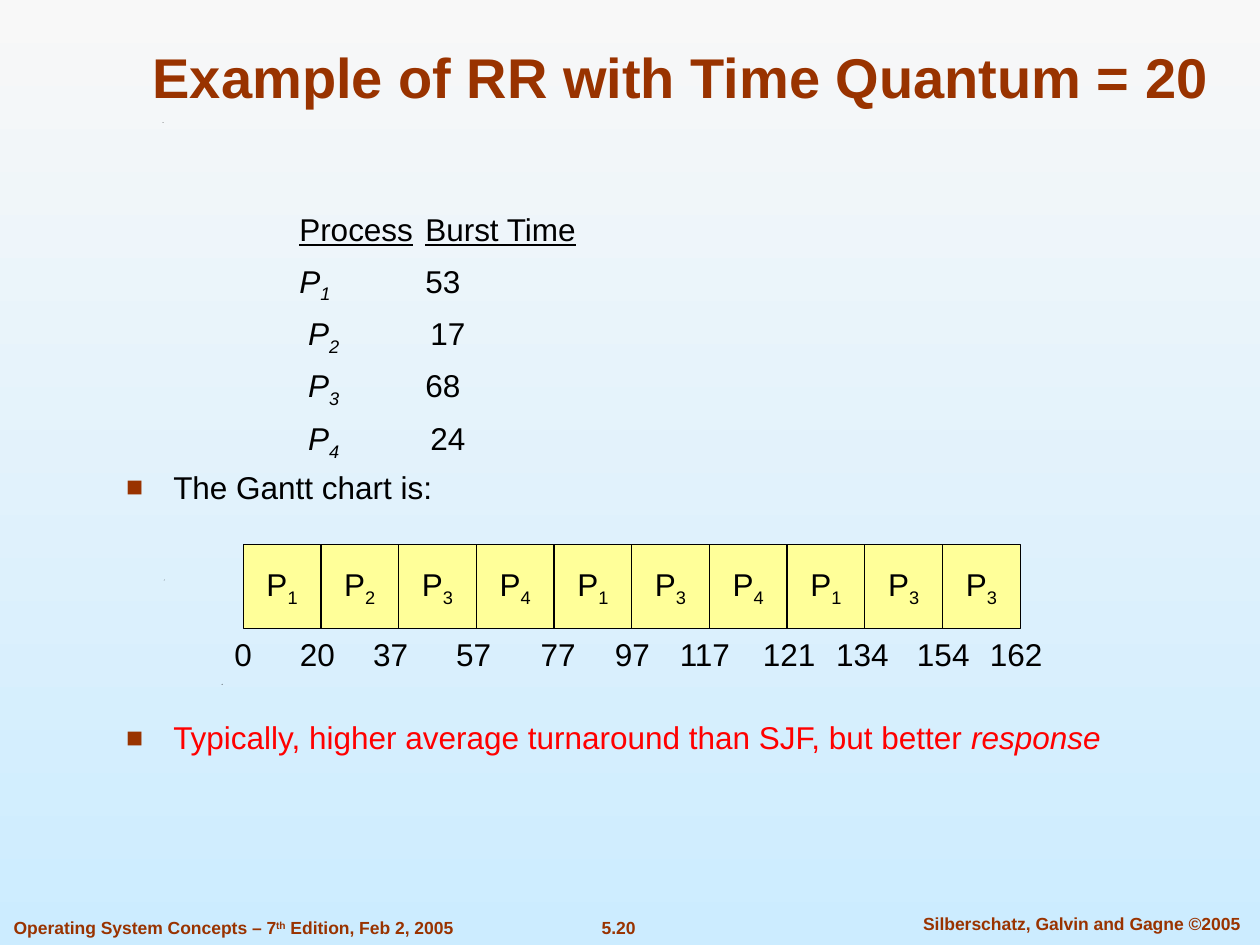
import lxml.etree
import pptx
import pptx.dml.color
import pptx.enum.shapes
import pptx.enum.text
import pptx.oxml.ns
import pptx.util

Pt = pptx.util.Pt
RGBColor = pptx.dml.color.RGBColor
ALIGN = pptx.enum.text.PP_ALIGN
ANCHOR = pptx.enum.text.MSO_ANCHOR
NO_FIT = pptx.enum.text.MSO_AUTO_SIZE.NONE

BROWN = RGBColor(0x99, 0x33, 0x00)
BLACK = RGBColor(0, 0, 0)
RED = RGBColor(0xFF, 0, 0)
YELLOW = RGBColor(0xFF, 0xFF, 0x99)
PALE_GREY = RGBColor(0xF8, 0xF8, 0xF8)
PALE_BLUE = RGBColor(0xCC, 0xEC, 0xFF)

BODY_FONT = {"name": "Arial", "size": Pt(18), "bold": False}
TITLE_FONT = {"name": "Arial", "size": Pt(32), "bold": True}
FOOTER_FONT = {"name": "Arial", "size": Pt(10), "bold": True}
FRAME = {
    "margin_left": Pt(7.2), "margin_right": Pt(7.2),
    "margin_top": Pt(3.6), "margin_bottom": Pt(3.6), "auto_size": NO_FIT,
}

SUBSCRIPT, SUPERSCRIPT = -25, 30
HANGING = 27
CELL_LEFT, CELL_TOP, CELL_WIDTH, CELL_HEIGHT = 139, 311, 44.4, 48
SCHEDULE = "1234134133"
TIMES = [
    ("0", 139), ("20", 181.4), ("37", 223.2), ("57", 270.7), ("77", 319),
    ("97", 361.4), ("117", 402.8), ("121", 451), ("134", 492.8),
    ("154", 539), ("162", 580.7),
]
BURSTS = [("", "1", "", "53"), (" ", "2", " ", "17"), (" ", "3", "", "68"), (" ", "4", " ", "24")]
SPECKS = [(126.7, 390.8), (93.6, 331.2), (92.9, 69.8)]


def apply(target, values):
    for name, value in values.items():
        setattr(target, name, value)


def place(shape, left, top, width, height):
    apply(shape, {"left": Pt(left), "top": Pt(top), "width": Pt(width), "height": Pt(height)})


def add_span(para, text, font, color, baseline=0, **extra):
    span = para.add_run()
    span.text = text
    apply(span.font, {**font, **extra})
    span.font.color.rgb = color
    if baseline:
        span._r.get_or_add_rPr().set("baseline", str(baseline * 1000))


def add_element(parent, tag, **attributes):
    element = lxml.etree.SubElement(parent, pptx.oxml.ns.qn(tag))
    for name, value in attributes.items():
        element.set(name, str(value))
    return element


def format_body_para(para, space, bullet):
    props = para._p.get_or_add_pPr()
    for name, value in (("marL", Pt(HANGING)), ("indent", -Pt(HANGING)), ("defTabSz", Pt(72))):
        props.set(name, str(int(value)))
    if bullet:
        add_element(add_element(props, "a:buClr"), "a:srgbClr", val=BROWN)
        add_element(props, "a:buSzPct", val=90000)
        add_element(props, "a:buFont", typeface="Arial")
        add_element(props, "a:buChar", char="■")
    else:
        add_element(props, "a:buNone")
        tabs = add_element(props, "a:tabLst")
        for stop in (HANGING + 72, HANGING + 144):
            add_element(tabs, "a:tab", pos=int(Pt(stop)), algn="l")
    apply(para, {"line_spacing": 0.9, "space_before": Pt(space), "alignment": ALIGN.LEFT})


def add_body_para(frame, space=7.9, bullet=False):
    para = frame.add_paragraph()
    format_body_para(para, space, bullet)
    return para


def set_background(page):
    fill = page.background.fill
    fill.gradient()
    fill.gradient_angle = 270
    for stop, color, position in zip(fill.gradient_stops, (PALE_GREY, PALE_BLUE), (0, 1)):
        stop.color.rgb = color
        stop.position = position


def add_specks(page):
    for left, top in SPECKS:
        builder = page.shapes.build_freeform(Pt(left), Pt(top + 0.5), scale=1.0)
        builder.add_line_segments([(Pt(left + 0.5), Pt(top)), (Pt(left + 0.3), Pt(top + 0.5))], close=True)
        speck = builder.convert_to_shape()
        speck.shadow.inherit = False
        speck.fill.solid()
        speck.fill.fore_color.rgb = BLACK
        speck.line.fill.background()


def add_text_box(shapes, area, spans, font, color, align=ALIGN.CENTER, anchor=ANCHOR.TOP):
    box = shapes.add_textbox(*map(Pt, area))
    apply(box.text_frame, {**FRAME, "word_wrap": False, "vertical_anchor": anchor})
    para = box.text_frame.paragraphs[0]
    para.alignment = align
    for text, baseline in spans:
        add_span(para, text, font, color, baseline)


def add_footers(page):
    add_text_box(page.shapes, (318.2, 520.6, 70.6, 19.4), [("5.20", 0)], FOOTER_FONT, BROWN)
    add_text_box(page.shapes, (511.2, 518.4, 213.8, 19.4),
                 [("Silberschatz, Galvin and Gagne ©2005", 0)], FOOTER_FONT, BROWN)
    add_text_box(page.shapes, (0.7, 520.6, 265.7, 19.4),
                 [("Operating System Concepts – 7", 0), ("th", SUPERSCRIPT),
                  (" Edition, Feb 2, 2005", 0)], FOOTER_FONT, BROWN, ALIGN.LEFT)


def fill_title(title):
    place(title, 72, 0, 634.3, 66.2)
    apply(title.text_frame, {**FRAME, "word_wrap": True, "vertical_anchor": ANCHOR.BOTTOM})
    para = title.text_frame.paragraphs[0]
    para.alignment = ALIGN.CENTER
    add_span(para, "Example of RR with Time Quantum = 20", TITLE_FONT, BROWN)


def fill_body(body):
    place(body, 64.8, 118.8, 578.9, 352.8)
    frame = body.text_frame
    apply(frame, {**FRAME, "word_wrap": True, "vertical_anchor": ANCHOR.TOP})
    header = frame.paragraphs[0]
    format_body_para(header, 0, False)
    for text, underline in (("\t\t", False), ("Process", True), ("\t", False), ("Burst Time", True)):
        add_span(header, text, BODY_FONT, BLACK, underline=underline)
    for lead, number, gap, burst in BURSTS:
        para = add_body_para(frame)
        add_span(para, "\t\t" + lead, BODY_FONT, BLACK)
        add_span(para, "P", BODY_FONT, BLACK, italic=True)
        add_span(para, number + "\t" + gap, BODY_FONT, BLACK, SUBSCRIPT, italic=True)
        add_span(para, burst, BODY_FONT, BLACK)
    add_span(add_body_para(frame, bullet=True), "The Gantt chart is:", BODY_FONT, BLACK)
    remark = add_body_para(frame, 123.5, True)
    add_span(remark, "Typically, higher average turnaround than SJF, but better ", BODY_FONT, RED)
    add_span(remark, "response", BODY_FONT, RED, italic=True)


def add_gantt_cell(shapes, column, process):
    cell = shapes.add_shape(
        pptx.enum.shapes.MSO_SHAPE.RECTANGLE, Pt(CELL_LEFT + column * CELL_WIDTH),
        Pt(CELL_TOP), Pt(CELL_WIDTH), Pt(CELL_HEIGHT))
    cell.shadow.inherit = False
    cell.fill.solid()
    cell.fill.fore_color.rgb = YELLOW
    cell.line.color.rgb = BLACK
    cell.line.width = Pt(0.75)
    apply(cell.text_frame, {**FRAME, "word_wrap": False, "vertical_anchor": ANCHOR.MIDDLE})
    para = cell.text_frame.paragraphs[0]
    para.alignment = ALIGN.CENTER
    add_span(para, "P", BODY_FONT, BLACK)
    add_span(para, process, BODY_FONT, BLACK, SUBSCRIPT)


def add_gantt_chart(page):
    shapes = page.shapes.add_group_shape().shapes
    for column, process in enumerate(SCHEDULE):
        add_gantt_cell(shapes, column, process)
    for time, center in TIMES:
        width = 14.4 + 10 * len(time)
        area = (center - width / 2, CELL_TOP + CELL_HEIGHT, width, 28.8)
        add_text_box(shapes, area, [(time, 0)], BODY_FONT, BLACK, anchor=ANCHOR.MIDDLE)


def main():
    deck = pptx.Presentation()
    apply(deck, {"slide_width": Pt(720), "slide_height": Pt(540)})
    page = deck.slides.add_slide(deck.slide_layouts[1])
    set_background(page)
    add_specks(page)
    add_footers(page)
    fill_title(page.shapes.title)
    fill_body(page.placeholders[1])
    add_gantt_chart(page)
    deck.save("out.pptx")


if __name__ == "__main__":
    main()
